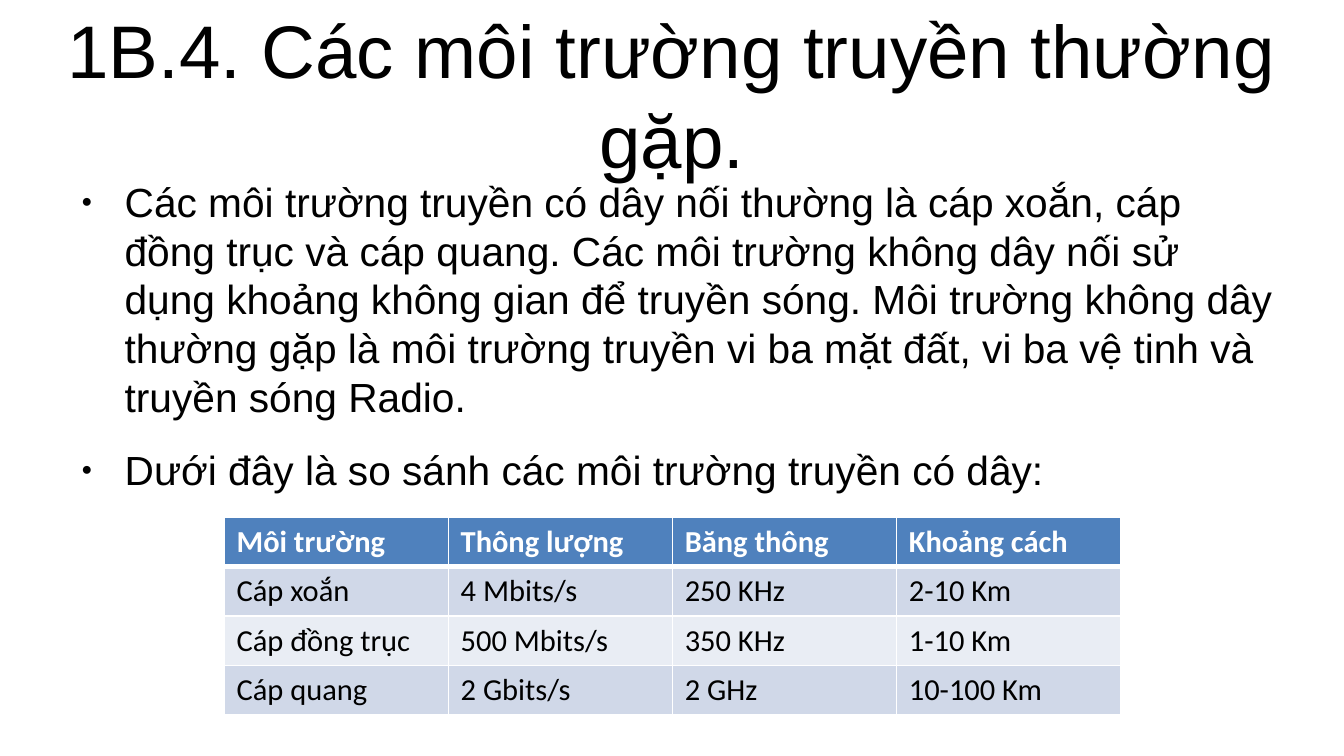
from lxml.etree import SubElement
from pptx import Presentation
from pptx.dml.color import RGBColor
from pptx.enum.text import MSO_ANCHOR, PP_ALIGN
from pptx.oxml.ns import qn
from pptx.util import Pt

BLACK = RGBColor(0x00, 0x00, 0x00)
WHITE = RGBColor(0xFF, 0xFF, 0xFF)
HEADER_BLUE = RGBColor(0x4F, 0x81, 0xBD)
BAND_DARK = RGBColor(0xD0, 0xD8, 0xE8)
BAND_LIGHT = RGBColor(0xE9, 0xED, 0xF4)

TITLE = "1B.4. Các môi trường truyền thường gặp."
BULLETS = [
    "Các môi trường truyền có dây nối thường là cáp xoắn, cáp đồng trục và cáp quang. "
    "Các môi trường không dây nối sử dụng khoảng không gian để truyền sóng. "
    "Môi trường không dây thường gặp là môi trường truyền vi ba mặt đất, "
    "vi ba vệ tinh và truyền sóng Radio.",
    "Dưới đây là so sánh các môi trường truyền có dây:",
]
MEDIA = [
    ["Môi trường", "Thông lượng", "Băng thông", "Khoảng cách"],
    ["Cáp xoắn", "4 Mbits/s", "250 KHz", "2-10 Km"],
    ["Cáp đồng trục", "500 Mbits/s", "350 KHz", "1-10 Km"],
    ["Cáp quang", "2 Gbits/s", "2 GHz", "10-100 Km"],
]


def write(p, text, size, font="Arial", color=BLACK, bold=False, align=PP_ALIGN.LEFT):
    p.alignment = align
    r = p.add_run()
    r.text = text
    r.font.size = Pt(size)
    r.font.name = font
    r.font.color.rgb = color
    r.font.bold = bold


def add_text_frame(slide, box, anchor):
    tf = slide.shapes.add_textbox(*map(Pt, box)).text_frame
    tf.word_wrap = True
    tf.vertical_anchor = anchor
    tf.margin_left = tf.margin_top = tf.margin_right = tf.margin_bottom = 0
    return tf


def set_bullet(p, indent, hanging):
    pPr = p._p.get_or_add_pPr()
    pPr.set("marL", str(Pt(indent)))
    pPr.set("indent", str(-Pt(hanging)))
    SubElement(pPr, qn("a:buSzPct"), val="45000")
    SubElement(pPr, qn("a:buFont"), typeface="Arial")
    SubElement(pPr, qn("a:buChar"), char="●")


def set_borders(cell, bottom):
    tcPr = cell._tc.get_or_add_tcPr()
    for side, width in (("L", 1), ("R", 1), ("T", 1), ("B", bottom)):
        ln = SubElement(tcPr, qn(f"a:ln{side}"), w=str(Pt(width)))
        fill = SubElement(ln, qn("a:solidFill"))
        SubElement(fill, qn("a:srgbClr"), val=str(WHITE))


def add_title(slide, box):
    tf = add_text_frame(slide, box, MSO_ANCHOR.MIDDLE)
    write(tf.paragraphs[0], TITLE, 44, align=PP_ALIGN.CENTER)


def add_body(slide, box):
    tf = add_text_frame(slide, box, MSO_ANCHOR.TOP)
    for i, text in enumerate(BULLETS):
        p = tf.add_paragraph() if i else tf.paragraphs[0]
        p.space_before = Pt(14.2)
        set_bullet(p, 34, 25.5)
        write(p, text, 24)


def add_media_table(slide, box):
    table = slide.shapes.add_table(len(MEDIA), len(MEDIA[0]), *map(Pt, box)).table
    for i, row in enumerate(MEDIA):
        header = i == 0
        band = BAND_DARK if i % 2 else BAND_LIGHT
        for j, text in enumerate(row):
            cell = table.cell(i, j)
            set_borders(cell, bottom=3 if header else 1)
            cell.fill.solid()
            cell.fill.fore_color.rgb = HEADER_BLUE if header else band
            write(cell.text_frame.paragraphs[0], text, 18, font="Calibri",
                  color=WHITE if header else BLACK, bold=header)


def main():
    prs = Presentation()
    prs.slide_width, prs.slide_height = Pt(793.44), Pt(446.4)
    slide = prs.slides.add_slide(prs.slide_layouts[6])
    add_title(slide, (39.6, 18, 714.24, 74.9))
    add_body(slide, (39.6, 104.4, 714.24, 259.2))
    add_media_table(slide, (132.5, 305.3, 529.2, 116.8))
    prs.save("out.pptx")


if __name__ == "__main__":
    main()
